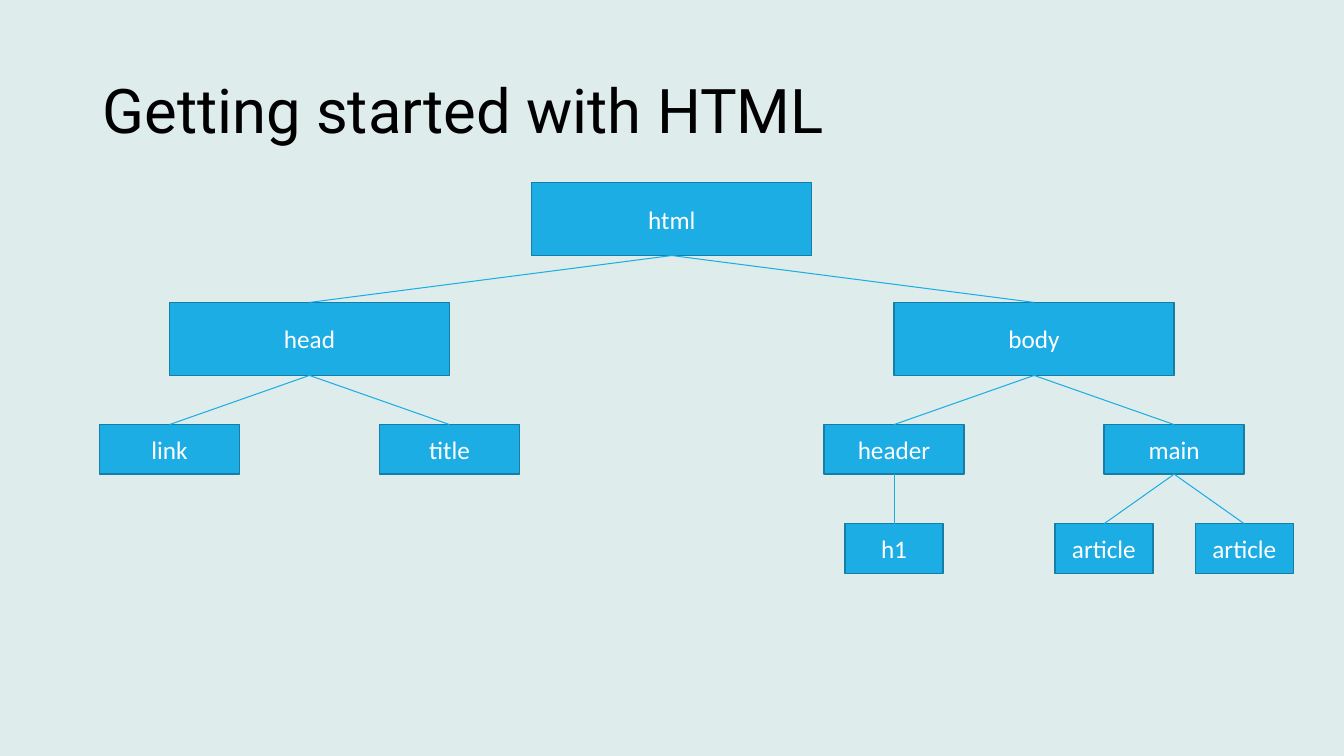
"""Build a slide showing the HTML element tree."""
from pptx import Presentation
from pptx.dml.color import RGBColor as RGB
from pptx.enum.shapes import MSO_CONNECTOR as CONN, MSO_SHAPE as SHAPE
from pptx.enum.text import MSO_ANCHOR as ANCHOR, MSO_AUTO_SIZE as FIT, PP_ALIGN as ALIGN
from pptx.oxml.ns import qn
from pptx.util import Cm, Pt
from lxml.etree import SubElement

TITLE = "Getting started with HTML"
TREE = ("html", [
    ("head", [("link", []), ("title", [])]),
    ("body", [
        ("header", [("h1", [])]),
        ("main", [("article", []), ("article", [])]),
    ]),
])
LEVELS = [
    {"top": 4.6, "width": 7.06, "height": 1.84, "spread": 9.13},
    {"top": 7.62, "width": 7.06, "height": 1.84, "spread": 3.53},
    {"top": 10.7, "width": 3.53, "height": 1.25, "spread": 1.77},
    {"top": 13.2, "width": 2.47, "height": 1.25, "spread": 0},
]
COLORS = {"bg": "DFECEC", "box": "1CADE4", "edge": "147EA6",
          "title": "000000", "label": "FFFFFF"}
BOTTOM, TOP = 2, 0


def color(name):
    return RGB.from_string(COLORS[name])


def write(sp, text, *, size, font, fill, align, spacing=1.0):
    tf = sp.text_frame
    tf.word_wrap = True
    tf.auto_size = FIT.NONE
    tf.vertical_anchor = ANCHOR.MIDDLE
    p = tf.paragraphs[0]
    p.alignment = align
    p.line_spacing = spacing
    r = p.add_run()
    r.text = text
    r.font.size = Pt(size)
    r.font.name = font
    r.font.color.rgb = color(fill)


def add_box(s, label, center, level):
    width = level["width"]
    sp = s.shapes.add_shape(SHAPE.RECTANGLE, Cm(center - width / 2), Cm(level["top"]),
                            Cm(width), Cm(level["height"]))
    sp.shadow.inherit = False
    sp.fill.solid()
    sp.fill.fore_color.rgb = color("box")
    sp.line.color.rgb = color("edge")
    sp.line.width = Pt(1)
    write(sp, label, size=18, font="Calibri", fill="label", align=ALIGN.CENTER)
    return sp


def add_link(s, parent, child):
    line = s.shapes.add_connector(CONN.STRAIGHT, 0, 0, 0, 0)
    line.begin_connect(parent, BOTTOM)
    line.end_connect(child, TOP)
    line.line.color.rgb = color("box")
    line.line.width = Pt(0.75)
    SubElement(line._element.spPr, qn("a:effectLst"))


def add_branch(s, node, center, depth=0):
    label, children = node
    level = LEVELS[depth]
    box = add_box(s, label, center, level)
    for i, child in enumerate(children):
        offset = (2 * i - len(children) + 1) * level["spread"]
        add_link(s, box, add_branch(s, child, center + offset, depth + 1))
    return box


def main():
    prs = Presentation()
    prs.slide_width, prs.slide_height = Cm(33.87), Cm(19.05)
    s = prs.slides.add_slide(prs.slide_layouts[5])
    s.background.fill.solid()
    s.background.fill.fore_color.rgb = color("bg")
    title = s.shapes.title
    title.left, title.top, title.width, title.height = Cm(2.33), Cm(1.01), Cm(29.21), Cm(3.68)
    write(title, TITLE, size=44, font="Roboto", fill="title", align=ALIGN.LEFT, spacing=0.9)
    add_branch(s, TREE, 16.93)
    prs.save("out.pptx")


if __name__ == "__main__":
    main()
